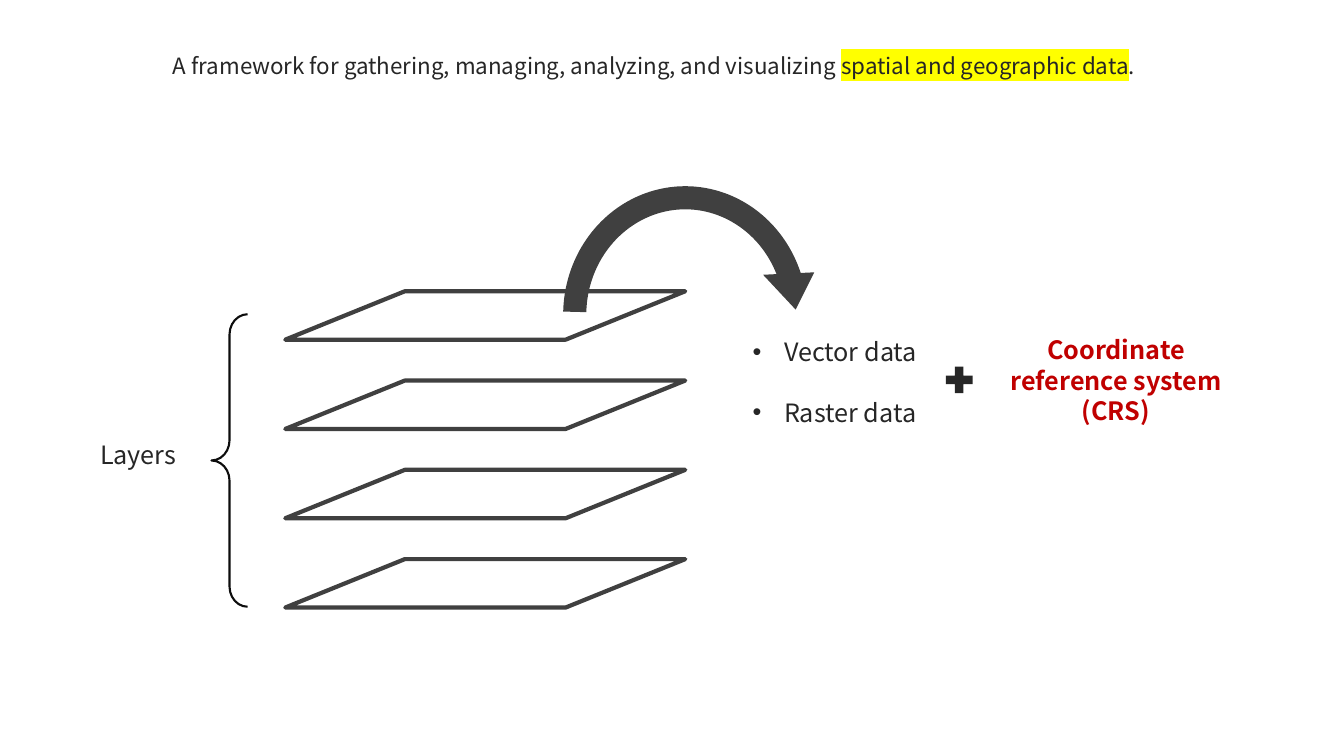
import pptx
import pptx.dml.color
import pptx.enum.shapes
import pptx.enum.text
import pptx.oxml.ns
import pptx.util
import lxml.etree

Cm = pptx.util.Cm
Pt = pptx.util.Pt
Kind = pptx.enum.shapes.MSO_SHAPE
Align = pptx.enum.text.PP_ALIGN

theme = {
    "font": "Noto Sans CJK TC",
    "ink": "262626", "edge": "404040", "brace": "0D0D0D",
    "red": "C00000", "mark": "FFFF00",
    "head": 16, "body": 18,
}

head = [[("A framework for gathering, managing, analyzing, and visualizing ", False),
         ("spatial and geographic data", True),
         (".", False)]]
label = [[("Layers", False)]]
types = [[("Vector data", False)], [("Raster data", False)]]
system = [[("Coordinate reference system (CRS)", False)]]

stack = {"count": 4, "left": 7.19, "top": 7.34, "wide": 10.08, "high": 1.22, "pitch": 2.25}

deck = pptx.Presentation()
deck.slide_width = Cm(33.87)
deck.slide_height = Cm(19.05)
slide = deck.slides.add_slide(deck.slide_layouts[6])


def tint(name):
    return pptx.dml.color.RGBColor.from_string(theme[name])


def add_node(parent, tag, **attrs):
    return lxml.etree.SubElement(parent, pptx.oxml.ns.qn(tag), **attrs)


def draw(kind, box, adjust=(), fill=None, line=None, width=0):
    shape = slide.shapes.add_shape(kind, *map(Cm, box))
    shape.shadow.inherit = False
    for index, value in enumerate(adjust):
        shape.adjustments[index] = value
    if fill:
        shape.fill.solid()
        shape.fill.fore_color.rgb = tint(fill)
    else:
        shape.fill.background()
    if line:
        shape.line.color.rgb = tint(line)
        shape.line.width = Pt(width)
    else:
        shape.line.fill.background()


def write(lines, box, size="body", color="ink", bold=False, align=Align.LEFT,
          space=None, bullet=False):
    frame = slide.shapes.add_textbox(*map(Cm, box)).text_frame
    frame.word_wrap = True
    frame.auto_size = pptx.enum.text.MSO_AUTO_SIZE.SHAPE_TO_FIT_TEXT
    for index, line in enumerate(lines):
        para = frame.add_paragraph() if index else frame.paragraphs[0]
        para.alignment = align
        if space:
            para.line_spacing = space
        if bullet:
            props = para._p.get_or_add_pPr()
            props.set("marL", str(Cm(0.79)))
            props.set("indent", str(-Cm(0.79)))
            add_node(props, "a:buFont", typeface="Arial")
            add_node(props, "a:buChar", char="•")
        for text, marked in line:
            run = para.add_run()
            run.text = text
            run.font.name = theme["font"]
            run.font.size = Pt(theme[size])
            run.font.bold = bold
            run.font.color.rgb = tint(color)
            if marked:
                props = run._r.get_or_add_rPr()
                light = add_node(props, "a:highlight")
                add_node(light, "a:srgbClr", val=theme["mark"])
                props.find(pptx.oxml.ns.qn("a:solidFill")).addnext(light)


for level in range(stack["count"]):
    top = stack["top"] + level * stack["pitch"]
    draw(Kind.PARALLELOGRAM, (stack["left"], top, stack["wide"], stack["high"]),
         (2.47,), line="edge", width=3)

write(label, (1.63, 10.95, 3.71, 1.35), align=Align.CENTER)
draw(Kind.LEFT_BRACE, (5.33, 7.92, 0.91, 7.37), (0.56, 0.5), line="brace", width=1.5)
draw(Kind.CIRCULAR_ARROW, (13.84, 4.34, 6.86, 7.19),
     (8.5 / 100, 11.42, 202.94, 108.92, 9.4 / 100), fill="edge")
write(types, (18.72, 7.59, 5.46, 3.1), space=2.0, bullet=True)
draw(Kind.MATH_PLUS, (23.72, 9.12, 0.91, 0.91), fill="ink")
write(system, (24.99, 8.31, 6.27, 2.57), color="red", bold=True, align=Align.CENTER)
write(head, (4.11, 0.86, 25.63, 1.17), size="head", space=1.5)

deck.save("out.pptx")
